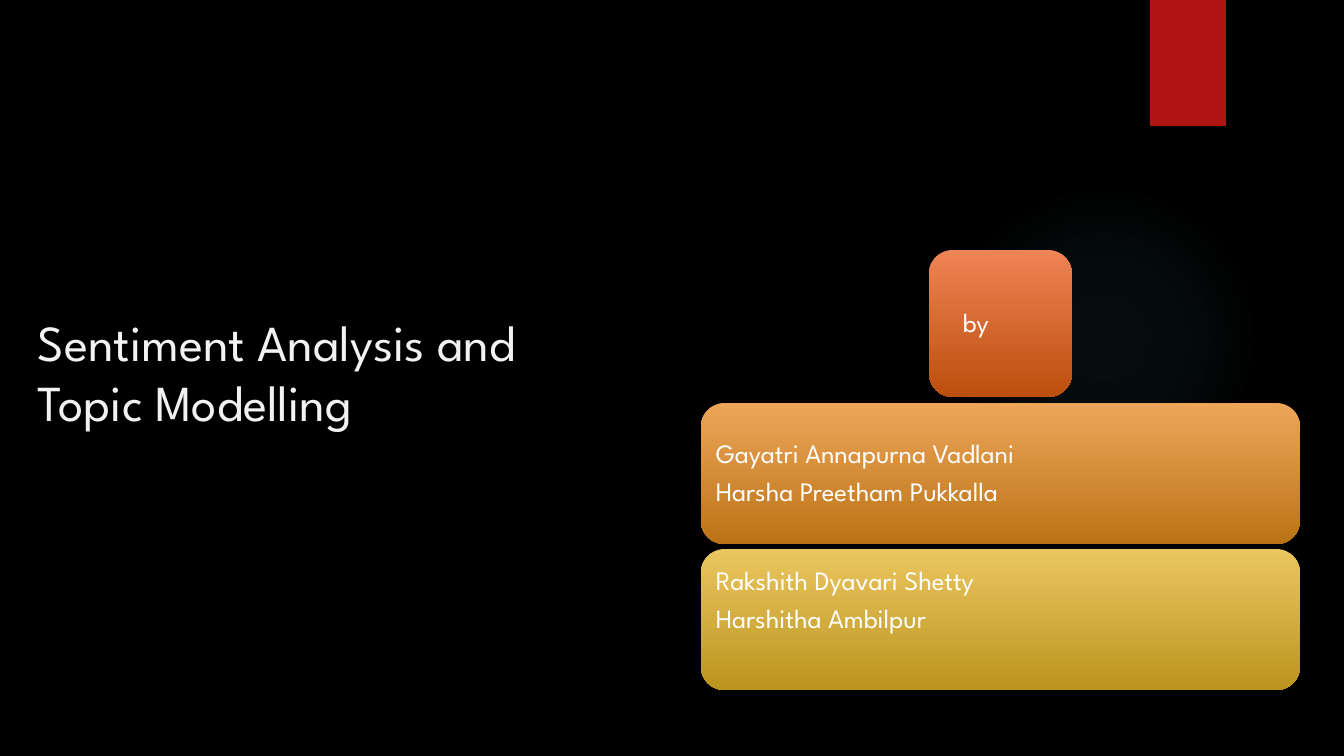
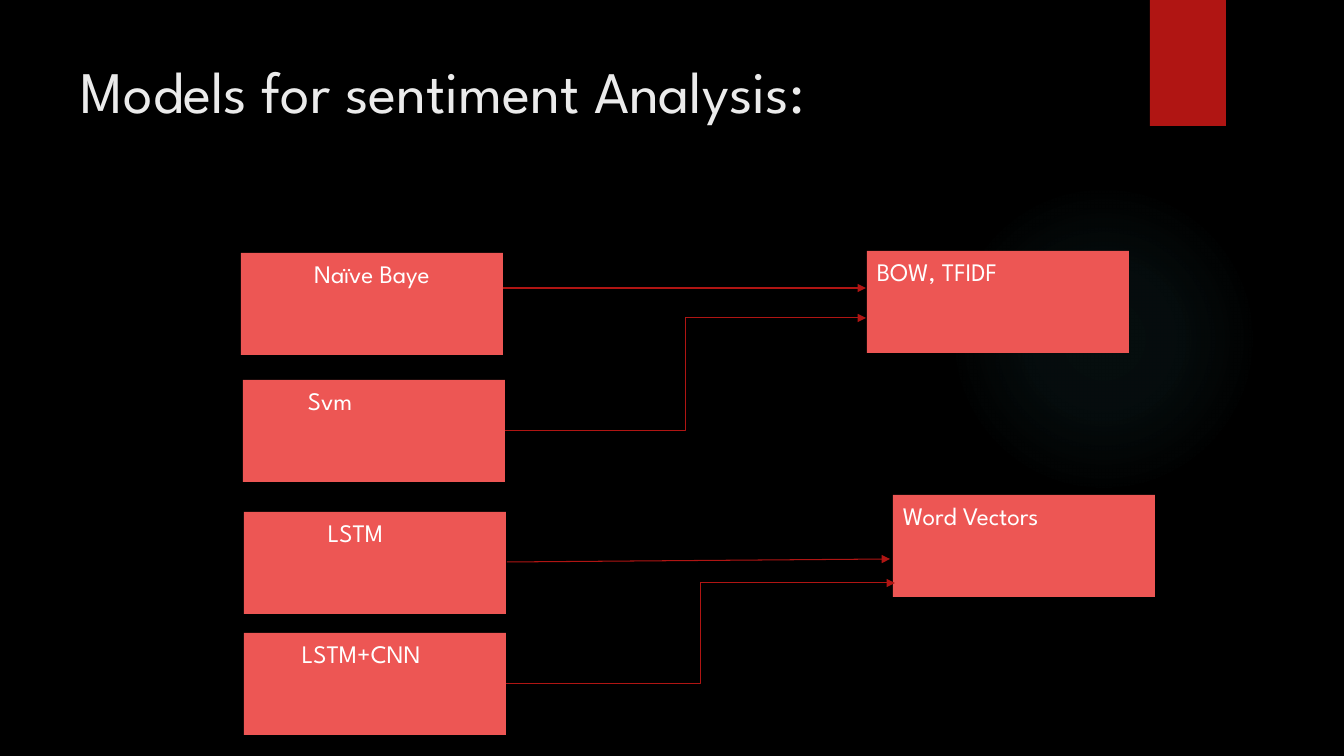
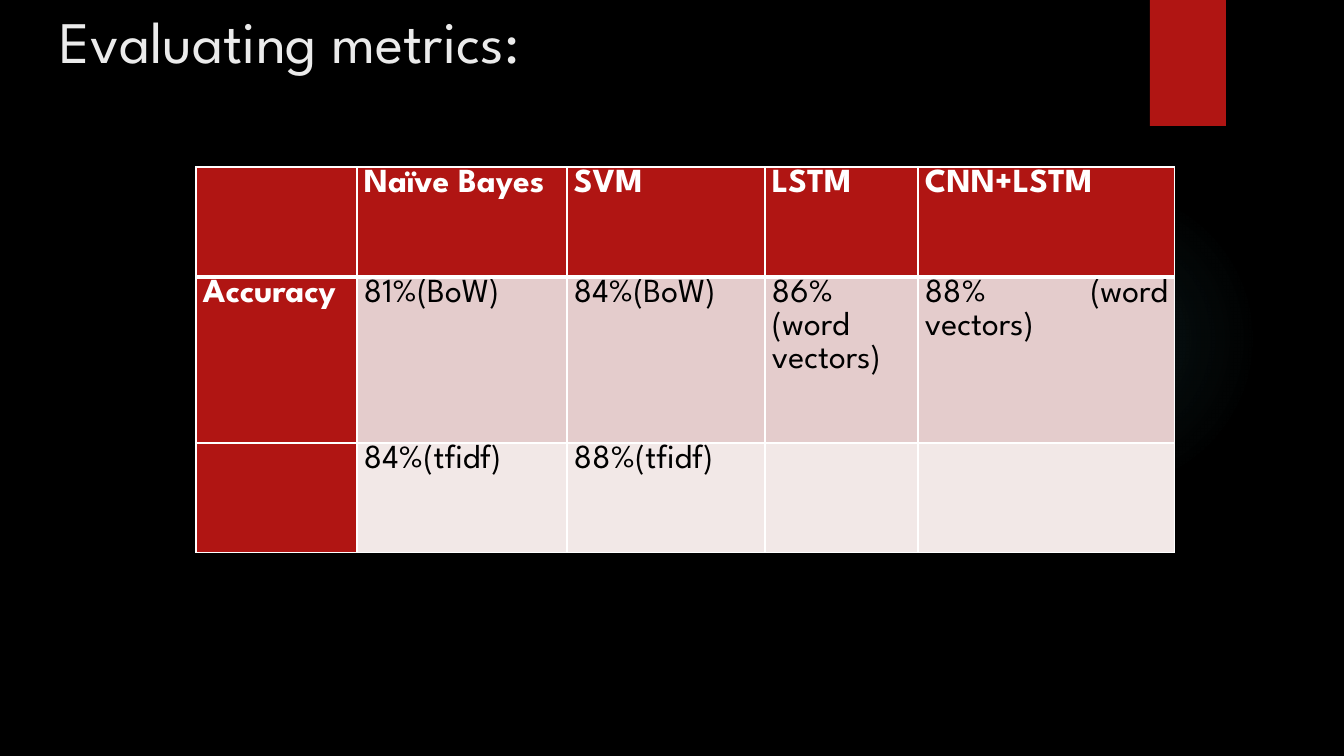
from pptx import Presentation
from pptx.dml.color import RGBColor
from pptx.enum.shapes import MSO_CONNECTOR, MSO_SHAPE
from pptx.enum.text import MSO_ANCHOR, PP_ALIGN
from pptx.oxml import parse_xml
from pptx.oxml.ns import nsdecls
from pptx.util import Pt

EMU_PER_PX = 914400 / 100.8
SLIDE_SIZE = (1344, 756)
BLANK_LAYOUT = 6
FONT = "League Spartan"
COLORS = {
    "background": "000000", "accent": "B01513", "glow": "50B9C1",
    "cover_title": "F2F2F2", "title": "EBEBEB", "white": "FFFFFF",
    "black": "000000", "box": "ED5654",
    "band_dark": "E4CCCC", "band_light": "F2E8E7",
}
AUTHOR_GRADIENTS = {
    "orange": ("EE8455", "BC4F0E"),
    "amber": ("EDA659", "BB7317"),
    "gold": ("EBC65F", "BB941F"),
}
GLOW_STOPS = [(0, 7), (36, 6), (69, 0)]

RECTANGLE = MSO_SHAPE.RECTANGLE
ROUNDED = MSO_SHAPE.ROUNDED_RECTANGLE
OVAL = MSO_SHAPE.OVAL
STRAIGHT = MSO_CONNECTOR.STRAIGHT
ELBOW = MSO_CONNECTOR.ELBOW
TOP = MSO_ANCHOR.TOP
MIDDLE = MSO_ANCHOR.MIDDLE
LEFT = PP_ALIGN.LEFT
CENTER = PP_ALIGN.CENTER
JUSTIFY = PP_ALIGN.JUSTIFY


def px(length):
    return round(length * EMU_PER_PX)


def emu(lengths):
    return [px(length) for length in lengths]


def rgb(name):
    return RGBColor.from_string(COLORS[name])


def set_insets(target, left, top, right, bottom):
    target.margin_left, target.margin_top = px(left), px(top)
    target.margin_right, target.margin_bottom = px(right), px(bottom)


def write(text_frame, text, size, color, align=LEFT, indent=0, bold=False,
          line_spacing=None, space_after=None):
    """Fill a text frame; each line of the text is one paragraph."""
    text_frame.text = text
    for paragraph in text_frame.paragraphs:
        paragraph.alignment = align
        if indent:
            paragraph._p.get_or_add_pPr().set("marL", str(px(indent)))
        if line_spacing:
            paragraph.line_spacing = line_spacing
        if space_after:
            paragraph.space_after = Pt(space_after)
        for run in paragraph.runs:
            run.font.name = FONT
            run.font.size = Pt(size)
            run.font.bold = bold
            run.font.color.rgb = rgb(color)


def add_plain_shape(slide, kind, box, color=None):
    shape = slide.shapes.add_shape(kind, *emu(box))
    shape.shadow.inherit = False
    shape.line.fill.background()
    if color:
        shape.fill.solid()
        shape.fill.fore_color.rgb = rgb(color)
    return shape


def add_glow(slide, box):
    """Place a circle whose colour fades out from its centre."""
    glow = add_plain_shape(slide, OVAL, box)
    stops = "".join(
        f'<a:gs pos="{position * 1000}"><a:srgbClr val="{COLORS["glow"]}">'
        f'<a:alpha val="{alpha * 1000}"/></a:srgbClr></a:gs>'
        for position, alpha in GLOW_STOPS)
    fill = parse_xml(
        f'<a:gradFill {nsdecls("a")}><a:gsLst>{stops}</a:gsLst>'
        '<a:path path="circle"><a:fillToRect l="50000" t="50000" '
        'r="50000" b="50000"/></a:path></a:gradFill>')
    glow._element.spPr.prstGeom.addnext(fill)


def add_title(slide, text, box, size=42, color="title", anchor=TOP):
    text_frame = slide.shapes.add_textbox(*emu(box)).text_frame
    text_frame.word_wrap = True
    text_frame.vertical_anchor = anchor
    write(text_frame, text, size, color)


def new_slide(presentation):
    slide = presentation.slides.add_slide(
        presentation.slide_layouts[BLANK_LAYOUT])
    add_glow(slide, (949, 184, 310, 310))
    add_plain_shape(slide, RECTANGLE, (1150, 0, 76, 126), "accent")
    return slide


def add_author_block(slide, text, box, gradient, indent=0, bottom_inset=8):
    block = add_plain_shape(slide, ROUNDED, box)
    block.fill.gradient()
    block.fill.gradient_angle = 270
    for stop, color in zip(block.fill.gradient_stops,
                           AUTHOR_GRADIENTS[gradient]):
        stop.color.rgb = RGBColor.from_string(color)
    text_frame = block.text_frame
    text_frame.word_wrap = True
    text_frame.vertical_anchor = MIDDLE
    set_insets(text_frame, 8, 8, 8, bottom_inset)
    write(text_frame, text, 19, "white", indent=indent,
          line_spacing=0.9, space_after=6.65)


def add_model_box(slide, text, left, top, align=LEFT, indent=0):
    box = add_plain_shape(slide, RECTANGLE, (left, top, 262, 102), "box")
    box.text_frame.word_wrap = True
    box.text_frame.vertical_anchor = TOP
    write(box.text_frame, text, 18, "white", align, indent)


def add_arrow(slide, kind, *ends):
    arrow = slide.shapes.add_connector(kind, *emu(ends))
    arrow.line.color.rgb = rgb("accent")
    arrow.line.width = Pt(0.75)
    arrow.line._get_or_add_ln().append(
        parse_xml(f'<a:tailEnd {nsdecls("a")} type="triangle"/>'))
    arrow._element.spPr.append(parse_xml(f'<a:effectLst {nsdecls("a")}/>'))


def set_borders(cell, widths):
    """Draw white borders; widths maps a side (L, R, T, B) to points."""
    properties = cell._tc.get_or_add_tcPr()
    for index, (side, width) in enumerate(widths.items()):
        properties.insert(index, parse_xml(
            f'<a:ln{side} {nsdecls("a")} w="{Pt(width)}"><a:solidFill>'
            f'<a:srgbClr val="{COLORS["white"]}"/></a:solidFill>'
            f'</a:ln{side}>'))


def add_metrics_table(slide, left, top, column_widths, row_heights, rows):
    box = (left, top, sum(column_widths), sum(row_heights))
    table = slide.shapes.add_table(
        len(rows), len(column_widths), *emu(box)).table
    for column, width in zip(table.columns, column_widths):
        column.width = px(width)
    for row, height in zip(table.rows, row_heights):
        row.height = px(height)
    row_fills = ("accent", "band_dark", "band_light")
    for row_index, texts in enumerate(rows):
        for column_index, text in enumerate(texts):
            cell = table.cell(row_index, column_index)
            heading = row_index == 0 or column_index == 0
            cell.fill.solid()
            cell.fill.fore_color.rgb = rgb(
                "accent" if heading else row_fills[row_index])
            set_insets(cell, 7, 0, 7, 0)
            set_borders(cell, {"L": 1, "R": 1,
                               "T": 3 if row_index == 1 else 1,
                               "B": 3 if row_index == 0 else 1})
            if text:
                write(cell.text_frame, text, 24,
                      "white" if heading else "black", JUSTIFY,
                      bold=heading, line_spacing=1.07, space_after=7.6)


def build_cover(presentation):
    slide = new_slide(presentation)
    add_title(slide, "Sentiment Analysis and Topic Modelling",
              (28, 101, 594, 541), 36, "cover_title", MIDDLE)
    add_author_block(slide, "by", (929, 250, 143, 147), "orange", indent=19)
    add_author_block(slide,
                     "Gayatri Annapurna Vadlani\nHarsha Preetham Pukkalla",
                     (701, 403, 599, 141), "amber")
    add_author_block(slide, "Rakshith Dyavari Shetty\nHarshitha Ambilpur",
                     (701, 549, 599, 141), "gold", bottom_inset=46)


def build_models(presentation):
    slide = new_slide(presentation)
    add_title(slide, "Models for sentiment Analysis:", (71, 50, 1037, 154))
    add_model_box(slide, "Naïve Baye", 241, 253, CENTER)
    add_model_box(slide, "Svm", 243, 380, indent=55)
    add_model_box(slide, "LSTM", 244, 512, indent=74)
    add_model_box(slide, "LSTM+CNN", 244, 633, indent=48)
    add_model_box(slide, "BOW, TFIDF", 867, 251)
    add_model_box(slide, "Word Vectors", 893, 495)
    add_arrow(slide, STRAIGHT, 503, 288, 866, 288)
    add_arrow(slide, ELBOW, 505, 431, 866, 318)
    add_arrow(slide, STRAIGHT, 507, 562, 890, 559)
    add_arrow(slide, ELBOW, 506, 684, 895, 583)


def build_metrics(presentation):
    slide = new_slide(presentation)
    add_title(slide, "Evaluating metrics:", (50, 0, 1037, 154))
    add_metrics_table(
        slide, 196, 167, (161, 210, 198, 153, 257), (110, 166, 110),
        [("", "Naïve Bayes", "SVM", "LSTM", "CNN+LSTM"),
         ("Accuracy", "81%(BoW)", "84%(BoW)", "86% (word vectors)",
          "88% (word vectors)"),
         ("", "84%(tfidf)", "88%(tfidf)", "", "")])


def main():
    presentation = Presentation()
    presentation.slide_width, presentation.slide_height = emu(SLIDE_SIZE)
    background = presentation.slide_master.background.fill
    background.solid()
    background.fore_color.rgb = rgb("background")
    for build in (build_cover, build_models, build_metrics):
        build(presentation)
    presentation.save("out.pptx")


if __name__ == "__main__":
    main()
